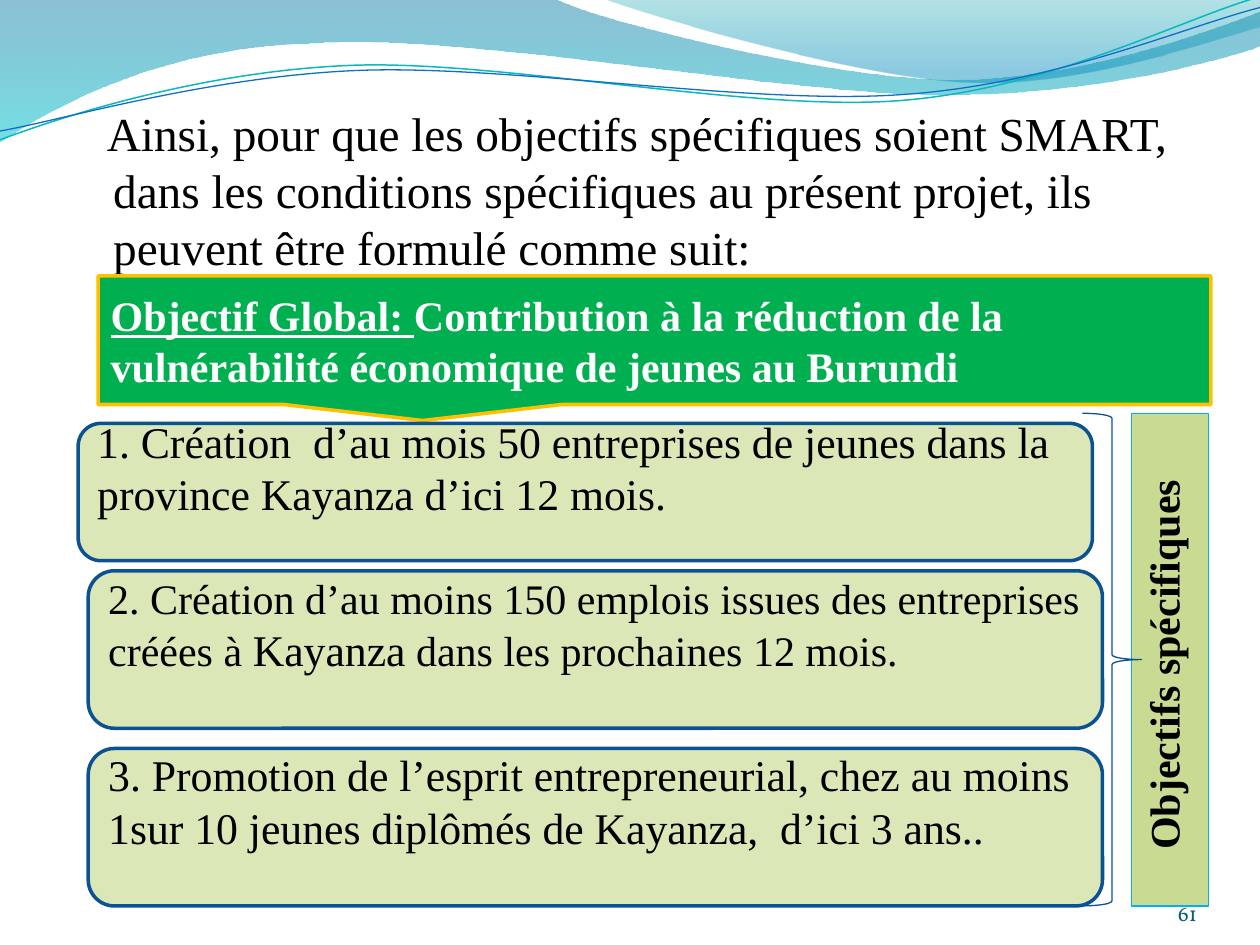
from dataclasses import dataclass

from lxml import etree
from pptx import Presentation
from pptx.dml.color import RGBColor
from pptx.enum.shapes import MSO_SHAPE
from pptx.enum.text import MSO_ANCHOR, PP_ALIGN
from pptx.oxml.ns import qn
from pptx.util import Inches, Pt

CALLOUT = MSO_SHAPE.RECTANGULAR_CALLOUT
ROUNDED = MSO_SHAPE.FLOWCHART_ALTERNATE_PROCESS
RECTANGLE = MSO_SHAPE.RECTANGLE
BRACE = MSO_SHAPE.RIGHT_BRACE
TOP, MIDDLE, BOTTOM = MSO_ANCHOR.TOP, MSO_ANCHOR.MIDDLE, MSO_ANCHOR.BOTTOM
LEFT, CENTER, RIGHT = PP_ALIGN.LEFT, PP_ALIGN.CENTER, PP_ALIGN.RIGHT
SERIF = "Times New Roman"


@dataclass
class Run:
    text: str
    size: float = 24
    color: str = "000000"
    bold: bool = False
    underline: bool = False
    font: str = SERIF


@dataclass
class Box:
    left: float
    top: float
    width: float
    height: float


@dataclass
class Stop:
    position: float
    color: str
    opacity: int


@dataclass
class Wave:
    segments: list[tuple[float, ...]]
    stops: tuple[Stop, ...] = ()
    color: str = ""
    weight: float = 0


@dataclass
class Objective:
    box: Box
    runs: list[Run]
    space_below: float


WAVES = [
    Wave([(0, 0), (4.4, -0.01), (4.76, 0.17, 6.64, 0.63, 7.58, 0.63),
          (8.53, 0.63, 9.58, 0.26, 10, 0.09), (10.01, 0.36),
          (9.83, 0.44, 8.7, 0.76, 7.46, 0.75), (6.22, 0.75, 3.82, 0.28, 2.57, 0.34),
          (1.29, 0.36, 0.46, 0.83, -0.01, 1.13)],
         stops=(Stop(0, "0074A1", 45), Stop(1, "00C6CF", 55))),
    Wave([(4.79, -0.01), (5.09, 0.11, 6.82, 0.62, 7.69, 0.65),
          (8.56, 0.69, 9.61, 0.32, 10, 0.21), (10, 0)],
         stops=(Stop(0, "00A1A9", 30), Stop(0.8, "008BBF", 45))),
    Wave([(0, 1.11), (0.48, 0.93, 1.58, 0.57, 2.77, 0.52),
          (3.95, 0.47, 5.93, 0.89, 7.13, 0.8), (8.33, 0.71, 9.38, 0.15, 9.98, -0.02)],
         color="0AB8BF", weight=0.85),
    Wave([(0, 1.04), (0.47, 0.96, 1.64, 0.61, 2.83, 0.56),
          (4.03, 0.51, 5.97, 0.84, 7.17, 0.75), (8.36, 0.67, 9.41, 0.21, 10, 0.06)],
         color="0F6FC6", weight=0.75),
]

OBJECTIVES = [
    Objective(Box(0.62, 3.36, 8.05, 1.09), [
        Run("1. Création  d’au mois 50 entreprises de jeunes dans la province Kayanza "
            "d’ici 12 mois.", 25)], 0.45),
    Objective(Box(0.7, 4.53, 8.05, 1.25), [
        Run("2. Création d’au moins 150 emplois issues des entreprises créées à "),
        Run("Kayanza", 25),
        Run(" dans les prochaines 12 mois.")], 0.45),
    Objective(Box(0.7, 5.94, 8.05, 1.25), [
        Run("3. Promotion de l’esprit entrepreneurial, chez au moins 1sur 10 jeunes "
            "diplômés de Kayanza,  d’ici 3 ans..", 25)], 0.47),
]


def rgb(color: str) -> RGBColor:
    return RGBColor.from_string(color)


def place(box: Box) -> tuple:
    return tuple(Inches(value) for value in (box.left, box.top, box.width, box.height))


def write_text(shape, runs: list[Run], *, align=LEFT, anchor=MIDDLE,
               margins=(0.1, 0.05, 0.1, 0.05), hanging=0.0, first_line=0.0):
    frame = shape.text_frame
    frame.word_wrap = True
    frame.vertical_anchor = anchor
    (frame.margin_left, frame.margin_top,
     frame.margin_right, frame.margin_bottom) = map(Inches, margins)
    paragraph = frame.paragraphs[0]
    paragraph.alignment = align
    if hanging:
        properties = paragraph._p.get_or_add_pPr()
        properties.set("marL", str(Inches(hanging)))
        properties.set("indent", str(Inches(first_line)))
    for item in runs:
        run = paragraph.add_run()
        run.text = item.text
        font = run.font
        font.name, font.size, font.color.rgb = item.font, Pt(item.size), rgb(item.color)
        font.bold, font.underline = item.bold, item.underline


def add_panel(slide, kind, box: Box, line: str, weight: float, fill: str = ""):
    shape = slide.shapes.add_shape(kind, *place(box))
    shape.shadow.inherit = False
    if fill:
        shape.fill.solid()
        shape.fill.fore_color.rgb = rgb(fill)
    else:
        shape.fill.background()
    shape.line.color.rgb = rgb(line)
    shape.line.width = Pt(weight)
    return shape


def bend(shape, segments: list[tuple[float, ...]]):
    lines = iter(list(shape.element.iter(qn("a:lnTo"))))
    for segment in segments[1:]:
        first = next(lines)
        if len(segment) == 6:
            first.tag = qn("a:cubicBezTo")
            for line in (next(lines), next(lines)):
                first.append(line[0])
                line.getparent().remove(line)


def add_wave(slide, wave: Wave):
    points = [(Inches(segment[i]), Inches(segment[i + 1]))
              for segment in wave.segments for i in range(0, len(segment), 2)]
    builder = slide.shapes.build_freeform(*points[0])
    builder.add_line_segments(points[1:], close=bool(wave.stops))
    shape = builder.convert_to_shape()
    bend(shape, wave.segments)
    shape.shadow.inherit = False
    if not wave.stops:
        shape.fill.background()
        shape.line.color.rgb = rgb(wave.color)
        shape.line.width = Pt(wave.weight)
        return
    shape.line.fill.background()
    shape.fill.gradient()
    shape.fill.gradient_angle = 270
    for target, stop in zip(shape.fill.gradient_stops, wave.stops):
        target.position = stop.position
        target.color.rgb = rgb(stop.color)
    for element, stop in zip(shape.element.iter(qn("a:srgbClr")), wave.stops):
        etree.SubElement(element, qn("a:alpha")).set("val", str(stop.opacity * 1000))


def main():
    presentation = Presentation()
    presentation.slide_width, presentation.slide_height = Inches(10), Inches(7.5)
    slide = presentation.slides.add_slide(presentation.slide_layouts[6])
    for wave in WAVES:
        add_wave(slide, wave)

    introduction = slide.shapes.add_textbox(*place(Box(0.5, 0.78, 9.5, 6.72)))
    write_text(introduction, [Run(
        "Ainsi, pour que les objectifs spécifiques soient SMART, dans les conditions "
        "spécifiques au présent projet, ils peuvent être formulé comme suit:", 27)],
        anchor=TOP, hanging=0.3, first_line=-0.05)
    number = slide.shapes.add_textbox(*place(Box(8.67, 6.95, 0.83, 0.4)))
    write_text(number, [Run("61", 12, "045D75", font="Vollkorn")],
               align=RIGHT, anchor=BOTTOM, margins=(0, 0, 0, 0))

    goal = add_panel(slide, CALLOUT, Box(0.78, 2.19, 8.83, 1.02), "FFC000", 2, "00B050")
    write_text(goal, [
        Run("Objectif Global: ", color="FFFFFF", bold=True, underline=True),
        Run("Contribution à la réduction de la vulnérabilité économique de jeunes "
            "au Burundi", color="FFFFFF", bold=True)])
    for objective in OBJECTIVES:
        panel = add_panel(slide, ROUNDED, objective.box, "0B5292", 2, "DBE7B6")
        write_text(panel, objective.runs, margins=(0.1, 0.05, 0.1, objective.space_below))

    banner = add_panel(slide, RECTANGLE, Box(8.98, 3.28, 0.61, 3.91), "00B0F0", 0.75, "C9DA92")
    write_text(banner, [Run("Objectifs spécifiques ", bold=True)], align=CENTER, anchor=TOP)
    banner.element.txBody.bodyPr.set("vert", "vert270")
    add_panel(slide, BRACE, Box(8.59, 3.28, 0.47, 3.91), "095295", 0.75)
    presentation.save("out.pptx")


if __name__ == "__main__":
    main()
